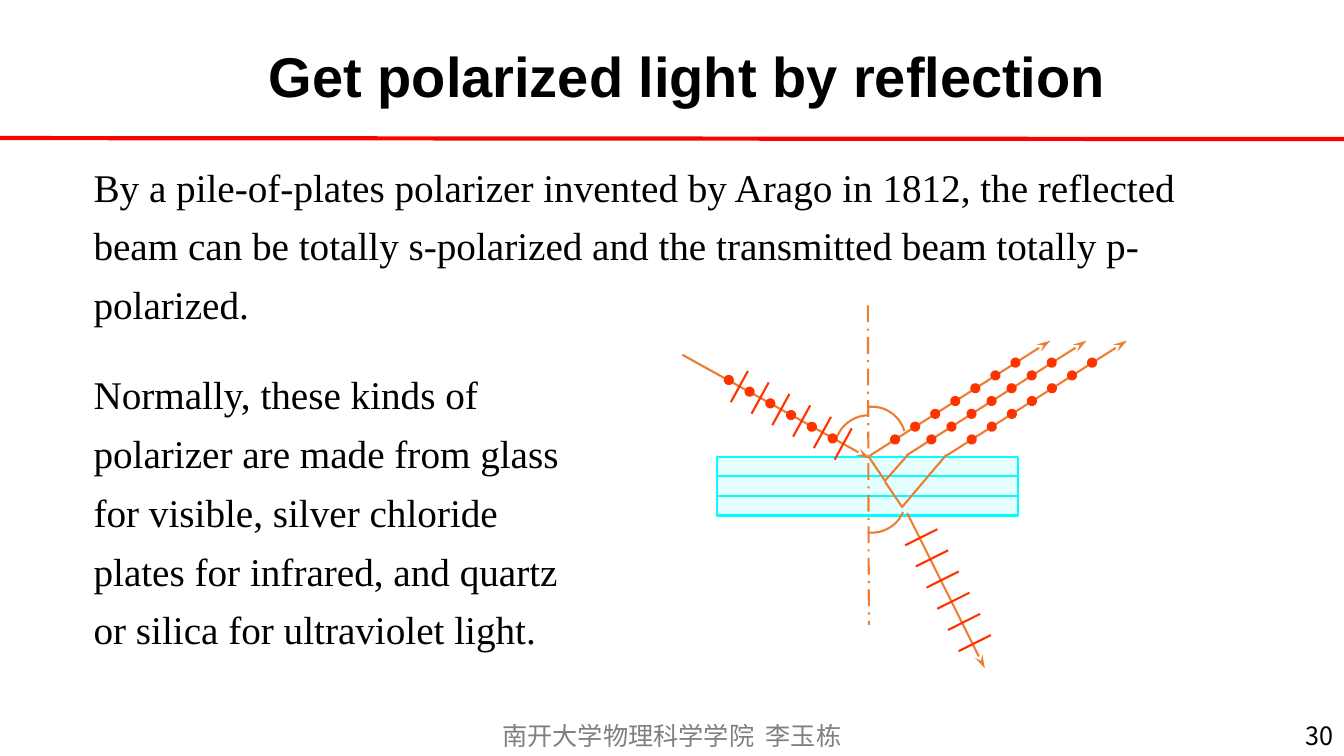
"""Build the slide on polarized light by reflection, on a grid of tenth-inch cells."""
import dataclasses
import math

import pptx
import pptx.dml.color
import pptx.enum.dml
import pptx.enum.shapes
import pptx.enum.text
import pptx.oxml.ns
import pptx.util

Point = tuple[float, float]

CELL = pptx.util.Inches(0.1)
COLUMNS, ROWS = 133.33, 75
RAY, MARK, EDGE, GLASS = "ED7D31", "FF3300", "00FFFF", "CCFFFF"
BLACK, RULE = "000000", "FF0000"
SERIF, SANS, CHINESE = "Times New Roman", "Arial", "Noto Sans CJK SC"


@dataclasses.dataclass(frozen=True)
class Ray:
    start: Point
    end: Point


@dataclasses.dataclass(frozen=True)
class Dots:
    first: Point
    step: Point
    count: int
    turn: float


@dataclasses.dataclass(frozen=True)
class Ticks:
    first: Point
    step: Point
    half: Point
    count: int


@dataclasses.dataclass(frozen=True)
class Arc:
    center: Point
    radius: float
    begin: float
    finish: float


REFLECTED = [Ray((left, 45.2), (left + 17.9, 33.8)) for left in (86.3, 89.9, 93.9)]
INCIDENT = Ray((67.7, 35.2), (86.3, 45.5))
TRANSMITTED = Ray((90, 50.9), (97.7, 66.3))
DOTS = [Dots((72.3, 37.7), (2.06, 1.16), 6, 344)] + [
    Dots((ray.start[0] + 2.5, 43.6), (1.99, -1.27), 7, 12.6) for ray in REFLECTED
]
TICKS = [
    Ticks((73.35, 38.35), (2.06, 1.14), (-0.85, 1.55), 6),
    Ticks((91.4, 53.3), (1.06, 2.1), (-1.6, 0.8), 6),
]
ARCS = [
    Arc((86.5, 49.5), 3.35, 97, 23),
    Arc((86.2, 44.6), 3.4, 270, 202),
    Arc((86.5, 43.7), 3.35, 263, 344),
]
INNER_PATHS = [
    [(86.1, 45.2), (87.8, 47.7), (90.1, 45.1)],
    [(87.8, 47.8), (89.5, 50.3), (93.9, 45.1)],
]


def cells(count: float) -> int:
    """Convert grid cells to a slide length."""
    return pptx.util.Emu(round(count * CELL))


def paint(color_format, color: str, opacity: int = 100) -> None:
    """Set a hex colour and, below 100 percent, its opacity."""
    color_format.rgb = pptx.dml.color.RGBColor.from_string(color)
    if opacity < 100:
        for node in color_format._xFill.iter(pptx.oxml.ns.qn("a:srgbClr")):
            alpha = node.makeelement(pptx.oxml.ns.qn("a:alpha"), {"val": str(opacity * 1000)})
            node.append(alpha)


def stroke(line, color: str, width: float = 1.5) -> None:
    """Give a line its colour and width."""
    line.fill.solid()
    paint(line.fill.fore_color, color)
    line.width = pptx.util.Pt(width)


def add_line(page, start: Point, end: Point, color: str, width: float = 1.5,
             arrow: bool = False, dash=None):
    """Draw a straight line, with an optional arrowhead or dash."""
    line = page.shapes.add_connector(
        pptx.enum.shapes.MSO_CONNECTOR.STRAIGHT, *map(cells, (*start, *end)))
    stroke(line.line, color, width)
    if dash is not None:
        line.line.dash_style = dash
    properties = line._element.spPr
    if arrow:
        outline = line.line._get_or_add_ln()
        head = {"type": "stealth", "w": "med", "len": "lg"}
        outline.append(outline.makeelement(pptx.oxml.ns.qn("a:tailEnd"), head))
    properties.append(properties.makeelement(pptx.oxml.ns.qn("a:effectLst"), {}))
    return line


def add_figure(page, kind, left: float, top: float, width: float, height: float,
               fill: str, edge: str, opacity: int = 100):
    """Draw a filled preset shape."""
    figure = page.shapes.add_shape(kind, *map(cells, (left, top, width, height)))
    figure.shadow.inherit = False
    figure.fill.solid()
    paint(figure.fill.fore_color, fill, opacity)
    stroke(figure.line, edge)
    return figure


def add_path(page, points: list[Point]):
    """Draw an open, unfilled outline through the points."""
    corners = [(cells(across), cells(down)) for across, down in points]
    builder = page.shapes.build_freeform(*corners[0], scale=1.0)
    builder.add_line_segments(corners[1:], close=False)
    outline = builder.convert_to_shape()
    outline.shadow.inherit = False
    outline.fill.background()
    stroke(outline.line, RAY)
    return outline


def add_arc(page, arc: Arc, pieces: int = 24) -> None:
    """Draw an angle mark as part of a circle."""
    angles = [math.radians(arc.begin + (arc.finish - arc.begin) * piece / pieces)
              for piece in range(pieces + 1)]
    add_path(page, [(arc.center[0] + arc.radius * math.cos(angle),
                     arc.center[1] + arc.radius * math.sin(angle)) for angle in angles])


def add_dots(page, dots: Dots, size: float = 0.8) -> None:
    """Draw a row of dots for s-polarization."""
    for index in range(dots.count):
        across, down = (base + index * step for base, step in zip(dots.first, dots.step))
        dot = add_figure(page, pptx.enum.shapes.MSO_SHAPE.OVAL, across - size / 2,
                         down - size / 2, size, size, MARK, MARK)
        dot.rotation = dots.turn


def add_ticks(page, ticks: Ticks) -> None:
    """Draw a row of cross strokes for p-polarization."""
    for index in range(ticks.count):
        across, down = (base + index * step for base, step in zip(ticks.first, ticks.step))
        reach, drop = ticks.half
        add_line(page, (across - reach, down - drop), (across + reach, down + drop), MARK)


def add_text(page, text: str, left: float, top: float, width: float, height: float, *,
             size: int, font: str, bold: bool = False, spacing: float = 1.0,
             align=pptx.enum.text.PP_ALIGN.LEFT, wrap: bool = True, opacity: int = 100):
    """Place one formatted paragraph."""
    box = page.shapes.add_textbox(*map(cells, (left, top, width, height)))
    frame = box.text_frame
    frame.word_wrap = wrap
    para = frame.paragraphs[0]
    para.alignment, para.line_spacing = align, spacing
    span = para.add_run()
    span.text = text
    span.font.size, span.font.name, span.font.bold = pptx.util.Pt(size), font, bold
    span.font.fill.solid()
    paint(span.font.fill.fore_color, BLACK, opacity)
    latin = span.font._element.find(pptx.oxml.ns.qn("a:latin"))
    latin.addnext(latin.makeelement(pptx.oxml.ns.qn("a:ea"), {"typeface": font}))
    return box


def draw_diagram(page) -> None:
    """Draw the pile of plates, the rays and their polarization marks."""
    for index in range(3):
        add_figure(page, pptx.enum.shapes.MSO_SHAPE.RECTANGLE, 71.1, 45.3 + 1.95 * index,
                   29.9, 1.95, GLASS, EDGE, opacity=50)
    for arc in ARCS:
        add_arc(page, arc)
    add_line(page, (86.1, 30.3), (86.2, 62), RAY,
             dash=pptx.enum.dml.MSO_LINE.LONG_DASH_DOT)
    for points in INNER_PATHS:
        add_path(page, points)
    for ray in [INCIDENT, *REFLECTED, TRANSMITTED]:
        add_line(page, ray.start, ray.end, RAY, arrow=True)
    for ticks in TICKS:
        add_ticks(page, ticks)
    for dots in DOTS:
        add_dots(page, dots)


def main() -> None:
    """Build and save the deck."""
    deck = pptx.Presentation()
    deck.slide_width, deck.slide_height = cells(COLUMNS), cells(ROWS)
    page = deck.slides.add_slide(deck.slide_layouts[6])
    align = pptx.enum.text.PP_ALIGN
    add_text(page, "南开大学物理科学学院  李玉栋", 48.6, 71, 36.1, 4, size=18, font=CHINESE,
             align=align.CENTER, wrap=False, opacity=50)
    draw_diagram(page)
    add_text(page, "By a pile-of-plates polarizer invented by Arago in 1812, the reflected beam "
             "can be totally s-polarized and the transmitted beam totally p-polarized.",
             8.3, 14.5, 111.9, 18.1, size=28, font=SERIF, spacing=1.25)
    add_text(page, "Get polarized light by reflection", 25.7, 3.6, 87.5, 7.7,
             size=40, font=SANS, bold=True)
    add_text(page, "Normally, these kinds of polarizer are made from glass for visible, silver "
             "chloride plates for infrared, and quartz or silica for ultraviolet light.",
             8.3, 35.1, 50.8, 29.9, size=28, font=SERIF, spacing=1.25)
    add_line(page, (0, 13.7), (COLUMNS, 13.8), RULE, width=3)
    add_text(page, "30", 103.3, 71, 30, 4, size=18, font=CHINESE, align=align.RIGHT)
    deck.save("out.pptx")


if __name__ == "__main__":
    main()
